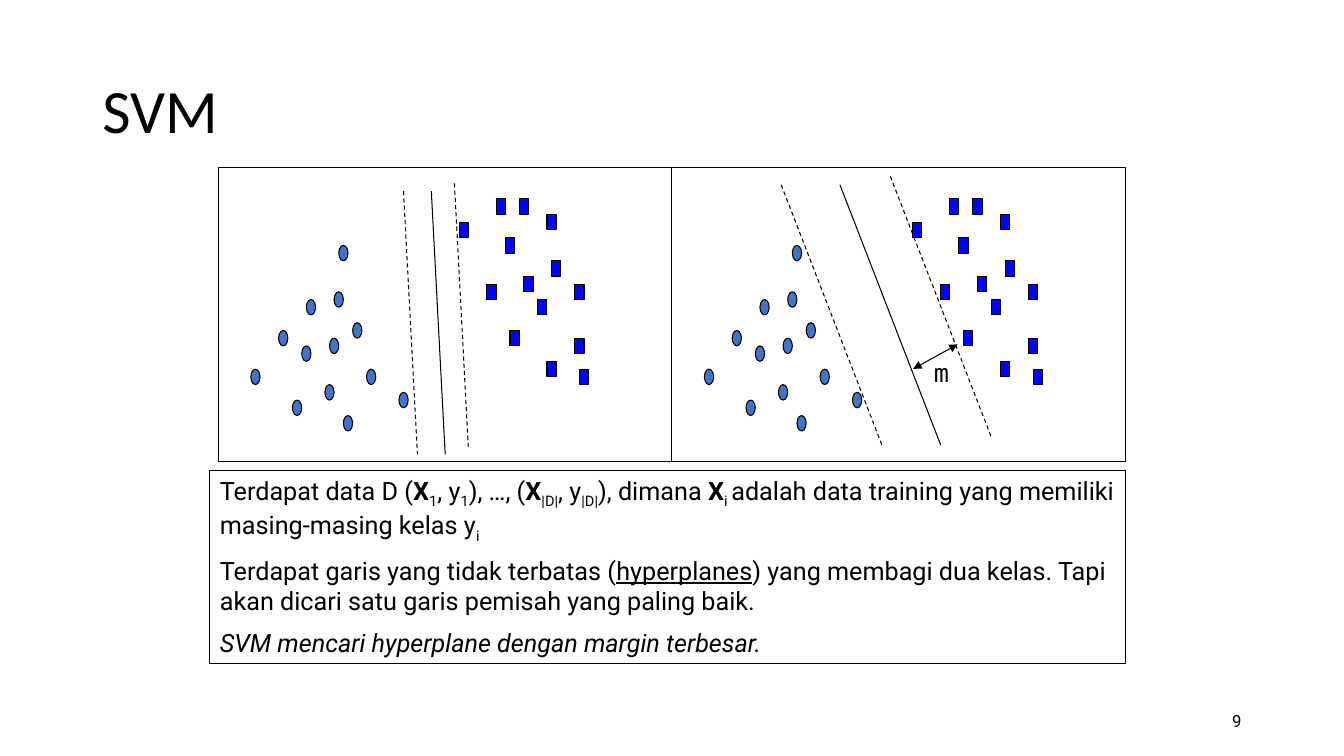
from lxml.etree import SubElement
from pptx import Presentation
from pptx.dml.color import RGBColor
from pptx.enum.dml import MSO_LINE
from pptx.enum.shapes import MSO_CONNECTOR, MSO_SHAPE
from pptx.enum.text import MSO_ANCHOR, PP_ALIGN
from pptx.oxml.ns import qn
from pptx.util import Pt

COLORS = {"ink": "000000", "circle": "4472C4", "square": "0000FF"}

PANEL_TOP, PANEL_WIDTH, PANEL_HEIGHT = 120, 324, 210
LEFT_PANEL, RIGHT_PANEL = 156, 480
COLUMN, ROW = PANEL_WIDTH / 98, PANEL_HEIGHT / 38

CIRCLE_CELLS = [
    (16, 30), (18, 23), (7, 26), (13, 21), (23, 28), (19, 17), (24, 22),
    (25, 16), (29, 20), (32, 26), (27, 32), (39, 29), (26, 10),
]
SQUARE_CELLS = [
    (58, 15), (52, 7), (60, 4), (63, 21), (62, 9), (66, 14), (65, 4),
    (71, 6), (69, 17), (72, 12), (71, 25), (77, 15), (77, 22), (78, 26),
]
NARROW_MARGIN = [
    ((188.4 + 131.4, 131), (334.5, 319), True),
    ((288.2, 136.6), (298.2, 324.5), True),
    ((308.1, 136.6), (318, 324.5), False),
]
NARROW_MARGIN[0] = ((324.6, 131), (334.5, 319), True)
WIDE_MARGIN = [
    ((558, 132), (630, 318), True),
    ((636, 126), (708, 312), True),
    ((600, 132), (672, 318), False),
]

STYLES = {
    "plain": {},
    "bold": {"bold": True},
    "underline": {"underline": True},
    "italic": {"italic": True},
    "sub": {},
}
EXPLANATION = [
    [
        ("Terdapat data D (", "plain"), ("X", "bold"), ("1", "sub"),
        (", y", "plain"), ("1", "sub"), ("), …, (", "plain"),
        ("X", "bold"), ("|D|", "sub"), (", y", "plain"), ("|D|", "sub"),
        ("), dimana ", "plain"), ("X", "bold"), ("i ", "sub"),
        ("adalah data training yang memiliki masing-masing kelas y", "plain"),
        ("i", "sub"),
    ],
    [
        ("Terdapat garis yang tidak terbatas (", "plain"),
        ("hyperplanes", "underline"),
        (") yang membagi dua kelas. Tapi akan dicari satu garis pemisah "
         "yang paling baik.", "plain"),
    ],
    [("SVM mencari hyperplane dengan margin terbesar.", "italic")],
]


def color(name):
    return RGBColor.from_string(COLORS[name])


def apply_format(target, values):
    for name, value in values.items():
        setattr(target, name, value)


def draw_shape(shapes, kind, box, fill=None):
    shape = shapes.add_shape(kind, *map(Pt, box))
    shape.shadow.inherit = False
    if fill:
        shape.fill.solid()
        shape.fill.fore_color.rgb = color(fill)
    else:
        shape.fill.background()
    shape.line.color.rgb = color("ink")
    shape.line.width = Pt(0.75)
    return shape


def draw_line(shapes, start, end, dashed=False, arrows=False):
    line = shapes.add_connector(
        MSO_CONNECTOR.STRAIGHT, *map(Pt, (*start, *end)))
    line.line.color.rgb = color("ink")
    line.line.width = Pt(0.75)
    if dashed:
        line.line.dash_style = MSO_LINE.DASH
    properties = line._element.spPr
    if arrows:
        outline = properties.find(qn("a:ln"))
        for tip in ("a:headEnd", "a:tailEnd"):
            SubElement(outline, qn(tip), type="triangle")
    SubElement(properties, qn("a:effectLst"))


def write_text(shape, paragraphs, font, anchor=MSO_ANCHOR.TOP, **layout):
    frame = shape.text_frame
    apply_format(frame, {"word_wrap": True, "vertical_anchor": anchor})
    for index, runs in enumerate(paragraphs):
        paragraph = frame.add_paragraph() if index else frame.paragraphs[0]
        apply_format(paragraph, {"alignment": PP_ALIGN.LEFT, **layout})
        if index:
            paragraph.space_before = Pt(8)
        for text, style in runs:
            run = paragraph.add_run()
            run.text = text
            apply_format(run.font, {**font, **STYLES[style]})
            run.font.color.rgb = color("ink")
            if style == "sub":
                run._r.get_or_add_rPr().set("baseline", "-25000")


def draw_label(slide, box, text, name, size, **options):
    label = slide.shapes.add_textbox(*map(Pt, box))
    font = {"name": name, "size": Pt(size)}
    write_text(label, [[(text, "plain")]], font, **options)


def draw_panel(slide, left, boundaries):
    panel = slide.shapes.add_group_shape().shapes
    for kind, cells, fill in (
        (MSO_SHAPE.OVAL, CIRCLE_CELLS, "circle"),
        (MSO_SHAPE.RECTANGLE, SQUARE_CELLS, "square"),
    ):
        for column, row in cells:
            box = (left + column * COLUMN, PANEL_TOP + row * ROW,
                   2 * COLUMN, 2 * ROW)
            draw_shape(panel, kind, box, fill)
    draw_shape(panel, MSO_SHAPE.RECTANGLE,
               (left, PANEL_TOP, PANEL_WIDTH, PANEL_HEIGHT))
    for start, end, dashed in boundaries:
        draw_line(panel, start, end, dashed)


def main():
    presentation = Presentation()
    presentation.slide_width = Pt(960)
    presentation.slide_height = Pt(540)
    slide = presentation.slides.add_slide(presentation.slide_layouts[6])

    draw_label(slide, (66, 28.8, 828, 104.4), "SVM", "Calibri", 44,
               anchor=MSO_ANCHOR.MIDDLE, line_spacing=0.9)
    draw_label(slide, (678, 500.5, 216, 28.8), "9", "Roboto", 12,
               anchor=MSO_ANCHOR.MIDDLE, alignment=PP_ALIGN.RIGHT)

    draw_panel(slide, LEFT_PANEL, NARROW_MARGIN)
    draw_panel(slide, RIGHT_PANEL, WIDE_MARGIN)
    draw_line(slide.shapes, (652.3, 263.5), (684, 246), arrows=True)
    draw_label(slide, (660, 252, 42, 28.8), "m", "DejaVu Sans Mono", 18)

    explanation = draw_shape(slide.shapes, MSO_SHAPE.RECTANGLE,
                             (150, 336, 654, 138))
    write_text(explanation, EXPLANATION, {"name": "Roboto", "size": Pt(18)})
    presentation.save("out.pptx")


if __name__ == "__main__":
    main()
